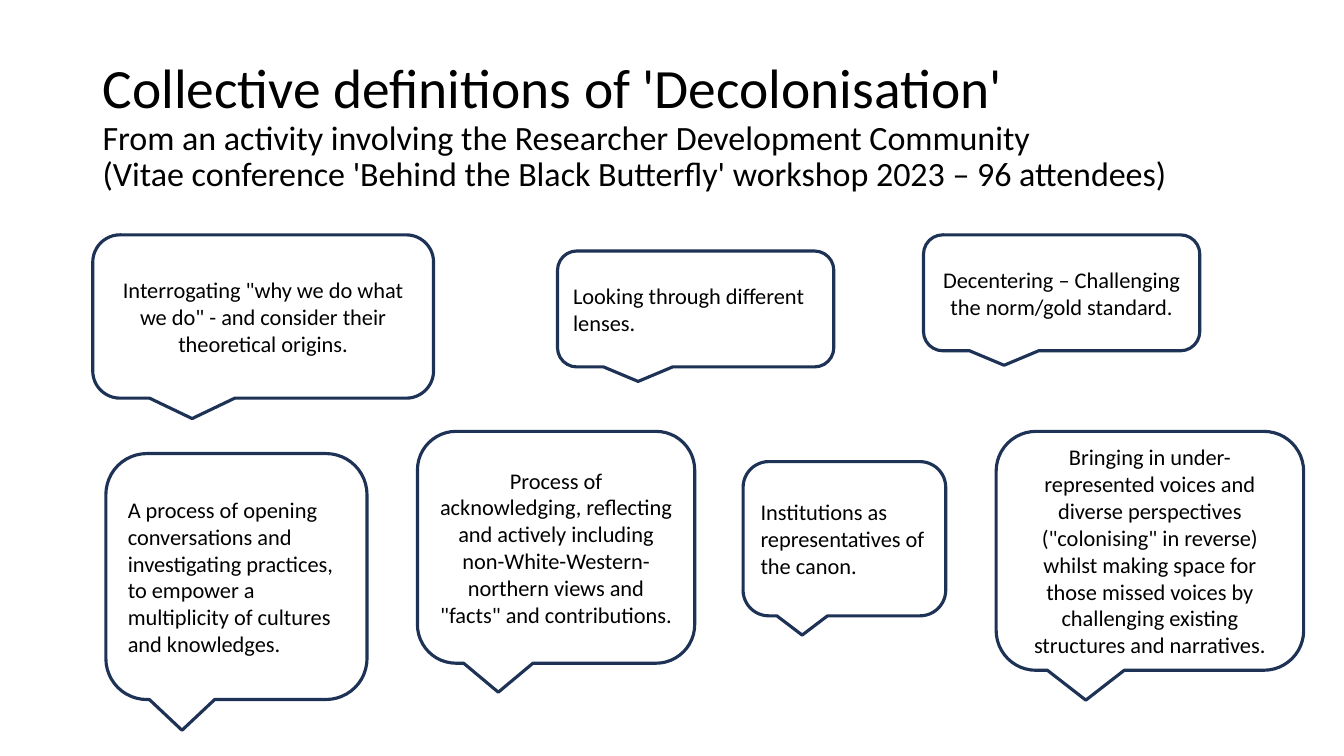
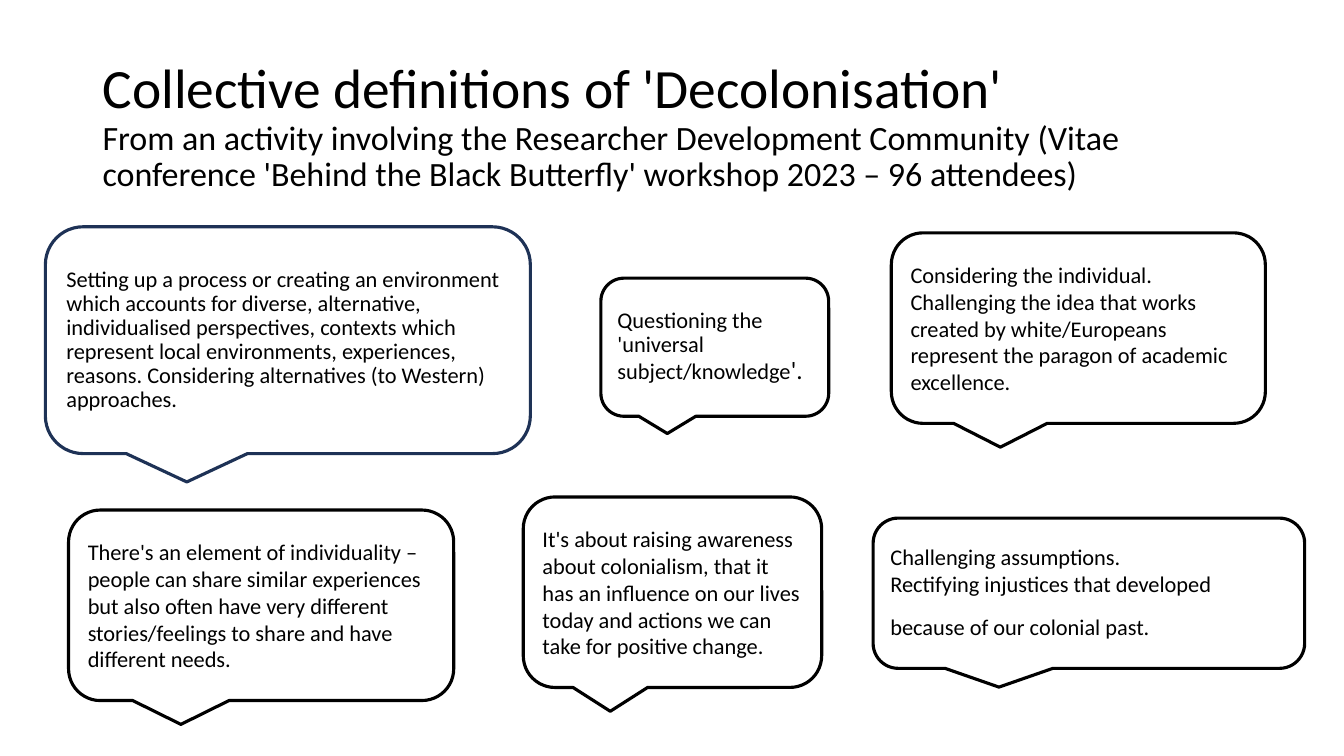
"""Build two slides of speech bubbles with collective definitions of decolonisation."""
from pptx import Presentation
from pptx.dml.color import RGBColor
from pptx.enum.shapes import MSO_SHAPE
from pptx.enum.text import MSO_ANCHOR, PP_ALIGN
from pptx.util import Pt

PX = 9144
FONT = "Calibri"
BLACK = RGBColor(0x00, 0x00, 0x00)
WHITE = RGBColor(0xFF, 0xFF, 0xFF)
NAVY = RGBColor(0x1E, 0x32, 0x56)
BUBBLE = MSO_SHAPE.ROUNDED_RECTANGULAR_CALLOUT
MIDDLE = MSO_ANCHOR.MIDDLE
LEFT = PP_ALIGN.LEFT
CENTER = PP_ALIGN.CENTER
TITLE_SIZE = 39.6
SUBTITLE_SIZE = 24.3
BODY_SIZE = 16
TIGHT = 0.9
SINGLE = 1.0

TITLE = "Collective definitions of 'Decolonisation'"
ACTIVITY = "From an activity involving the Researcher Development Community"
EVENT = "(Vitae conference 'Behind the Black Butterfly' workshop 2023 – 96 attendees)"

SLIDES = [
    ([ACTIVITY, EVENT], [
        ((92, 233, 338, 162), NAVY, CENTER, SINGLE, [[(
            "Interrogating \"why we do what we do\" - and consider their "
            "theoretical origins.", BODY_SIZE)]]),
        ((553, 249, 274, 115), NAVY, LEFT, SINGLE, [[(
            "Looking through different lenses.", BODY_SIZE)]]),
        ((916, 233, 274, 115), NAVY, CENTER, SINGLE, [[(
            "Decentering – Challenging the norm/gold standard.", BODY_SIZE)]]),
        ((105, 450, 259, 244), NAVY, LEFT, SINGLE, [[(
            "A process of opening conversations and investigating practices, "
            "to empower a multiplicity of cultures and knowledges.", BODY_SIZE)]]),
        ((414, 428, 275, 230), NAVY, CENTER, SINGLE, [[(
            "Process of acknowledging, reflecting and actively including "
            "non-White-Western-northern views and \"facts\" and contributions.",
            BODY_SIZE)]]),
        ((737, 458, 201, 153), NAVY, LEFT, SINGLE, [[(
            "Institutions as representatives of the canon.", BODY_SIZE)]]),
        ((988, 428, 305, 237), NAVY, CENTER, SINGLE, [[(
            "Bringing in under-represented voices and diverse perspectives "
            "(\"colonising\" in reverse) whilst making space for those missed "
            "voices by challenging existing structures and narratives.",
            BODY_SIZE)]]),
    ]),
    ([f"{ACTIVITY} {EVENT}"], [
        ((45, 225, 481, 225), NAVY, LEFT, TIGHT, [[(
            "Setting up a process or creating an environment which accounts for "
            "diverse, alternative, individualised perspectives, contexts which "
            "represent local environments, experiences, reasons. Considering "
            "alternatives (to Western) approaches.", BODY_SIZE)]]),
        ((596, 276, 226, 137), BLACK, LEFT, TIGHT, [[
            ("Questioning the 'universal subject/knowledge", BODY_SIZE),
            ("'.", 18)]]),
        ((884, 231, 371, 189), BLACK, LEFT, SINGLE, [
            [("Considering the individual.", BODY_SIZE)],
            [("Challenging the idea that works created by white/Europeans "
              "represent the paragon of academic excellence.", BODY_SIZE)]]),
        ((68, 506, 382, 189), BLACK, LEFT, SINGLE, [[(
            "There's an element of individuality – people can share similar "
            "experiences but also often have very different stories/feelings to "
            "share and have different needs.", BODY_SIZE)]]),
        ((519, 493, 296, 189), BLACK, LEFT, SINGLE, [[(
            "It's about raising awareness about colonialism, that it has an "
            "influence on our lives today and actions we can take for positive "
            "change.", BODY_SIZE)]]),
        ((866, 514, 428, 149), BLACK, LEFT, SINGLE, [
            [("Challenging assumptions.", BODY_SIZE)],
            [("Rectifying injustices that developed because of our colonial past.",
              BODY_SIZE), (" ", 28)]]),
    ]),
]


def add_span(para, text, size):
    span = para.add_run()
    span.text = text
    span.font.name = FONT
    span.font.size = Pt(size)
    span.font.color.rgb = BLACK


deck = Presentation()
deck.slide_width = 1333 * PX
deck.slide_height = 750 * PX
blank_layout = deck.slide_layouts[6]

for subtitle_lines, bubbles in SLIDES:
    page = deck.slides.add_slide(blank_layout)

    title_box = page.shapes.add_textbox(92 * PX, 54 * PX, 1150 * PX, 145 * PX)
    title_box.text_frame.word_wrap = True
    title_box.text_frame.vertical_anchor = MIDDLE
    title_para = title_box.text_frame.paragraphs[0]
    title_para.line_spacing = TIGHT
    add_span(title_para, TITLE, TITLE_SIZE)
    for line in subtitle_lines:
        title_para.add_line_break()
        add_span(title_para, line, SUBTITLE_SIZE)

    for bounds, outline, alignment, spacing, paragraphs in bubbles:
        bubble = page.shapes.add_shape(BUBBLE, *[length * PX for length in bounds])
        bubble.shadow.inherit = False
        bubble.fill.solid()
        bubble.fill.fore_color.rgb = WHITE
        bubble.line.color.rgb = outline
        bubble.line.width = Pt(2.25)
        frame = bubble.text_frame
        frame.word_wrap = True
        frame.vertical_anchor = MIDDLE
        for index, spans in enumerate(paragraphs):
            para = frame.add_paragraph() if index else frame.paragraphs[0]
            para.alignment = alignment
            para.line_spacing = spacing
            for text, size in spans:
                add_span(para, text, size)

deck.save("out.pptx")
